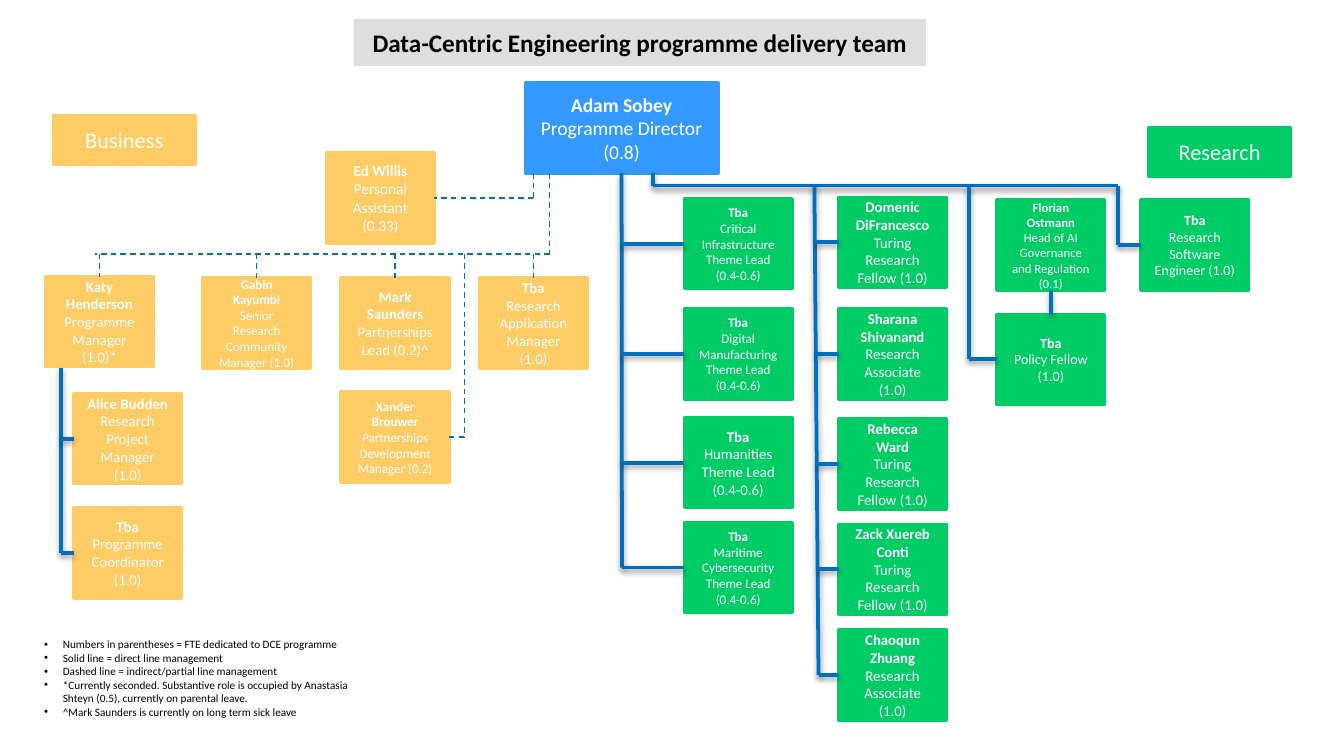
from lxml.etree import SubElement
from pptx import Presentation
from pptx.dml.color import RGBColor
from pptx.enum.dml import MSO_LINE
from pptx.enum.shapes import MSO_CONNECTOR, MSO_SHAPE
from pptx.enum.text import MSO_ANCHOR, PP_ALIGN
from pptx.oxml.ns import qn
from pptx.util import Pt

THEME = {
    "font": "Calibri",
    "blue": RGBColor(0x33, 0x99, 0xFF),
    "gold": RGBColor(0xFF, 0xCC, 0x66),
    "green": RGBColor(0x00, 0xCC, 0x66),
    "grey": RGBColor(0xDE, 0xDE, 0xDE),
    "white": RGBColor(0xFF, 0xFF, 0xFF),
    "black": RGBColor(0, 0, 0),
    "wire": RGBColor(0x00, 0x70, 0xC0),
    "title": 13.5, "label": 12, "head": 10.5, "note": 6,
}
FRAME = {"word_wrap": True, "vertical_anchor": MSO_ANCHOR.MIDDLE}
SOLID = {"width": Pt(2)}
DASH = {"width": Pt(0.75), "dash_style": MSO_LINE.DASH}
TOP, LEFT, BASE, RIGHT = range(4)
WIDE, HIGH = 57.6, 48

deck = Presentation()
deck.slide_width, deck.slide_height = Pt(720), Pt(405)
slide = deck.slides.add_slide(deck.slide_layouts[6])
cards = {}


def card(place, tone, size, lines, ink="white"):
    """Draw a filled box; lines are (text, bold) pairs."""
    shape = slide.shapes.add_shape(MSO_SHAPE.RECTANGLE, *map(Pt, place))
    shape.shadow.inherit = False
    shape.fill.solid()
    shape.fill.fore_color.rgb = THEME[tone]
    shape.line.width = Pt(2)
    shape.line.color.rgb = THEME[tone]
    frame = shape.text_frame
    for name, value in FRAME.items():
        setattr(frame, name, value)
    for i, (text, bold) in enumerate(lines):
        para = frame.add_paragraph() if i else frame.paragraphs[0]
        para.alignment = PP_ALIGN.CENTER
        run = para.add_run()
        run.text = text
        look = {"name": THEME["font"], "size": Pt(size), "bold": bold}
        for name, value in look.items():
            setattr(run.font, name, value)
        run.font.color.rgb = THEME[ink]
    return shape


def link(start, end, style=SOLID):
    """Draw a line; each end is an (x, y) point or a (card name, side) pair."""
    spots = [(0, 0) if isinstance(p[0], str) else p for p in (start, end)]
    wire = slide.shapes.add_connector(
        MSO_CONNECTOR.STRAIGHT, *(Pt(n) for spot in spots for n in spot))
    for point, join in ((start, wire.begin_connect), (end, wire.end_connect)):
        if isinstance(point[0], str):
            join(cards[point[0]], point[1])
    wire.line.color.rgb = THEME["wire"]
    for name, value in style.items():
        setattr(wire.line, name, value)
    glow = SubElement(wire._element.spPr, qn("a:effectLst"))
    if style is SOLID:
        shade = SubElement(glow, qn("a:outerShdw"), blurRad=str(Pt(3.1)),
                           dist=str(Pt(1.6)), dir="5400000", rotWithShape="0")
        black = SubElement(shade, qn("a:srgbClr"), val="000000")
        SubElement(black, qn("a:alpha"), val="38000")


# People, column by column: left edge, then name of card, top, size, person, role
columns = [
    ("gold", 175, [("aide", 82.1, 8.2, "Ed Willis", "Personal Assistant (0.33)")]),
    ("gold", 24.5, [("katy", 148.3, 7.9, "Katy Henderson", "Programme Manager (1.0)*")]),
    ("gold", 39.6, [
        ("alice", 211, 7.9, "Alice Budden", "Research Project Manager (1.0)"),
        ("clerk", 272.2, 7.9, "Tba", "Programme Coordinator (1.0)")]),
    ("gold", 108.7, [
        ("gabin", 149, 7, "Gabin Kayumbi", "Senior Research Community Manager (1.0)")]),
    ("gold", 182.9, [
        ("mark", 149, 7.9, "Mark Saunders", "Partnerships Lead (0.2)^"),
        ("xander", 210.2, 7, "Xander Brouwer", "Partnerships Development Manager (0.2)")]),
    ("gold", 257, [("apps", 149, 7.9, "Tba", "Research Application Manager (1.0)")]),
    ("green", 366.7, [
        ("infra", 106.6, 7, "Tba", "Critical Infrastructure Theme Lead (0.4-0.6)"),
        ("maker", 165.6, 7, "Tba", "Digital Manufacturing Theme Lead (0.4-0.6)"),
        ("human", 223.9, 7.9, "Tba", "Humanities Theme Lead (0.4-0.6)"),
        ("sea", 280.1, 7, "Tba", "Maritime Cybersecurity Theme Lead (0.4-0.6)")]),
    ("green", 449.4, [
        ("domenic", 105.8, 7.9, "Domenic DiFrancesco", "Turing Research Fellow (1.0)"),
        ("sharana", 165.6, 7.9, "Sharana Shivanand", "Research Associate (1.0)"),
        ("rebecca", 224.6, 7.9, "Rebecca Ward", "Turing Research Fellow (1.0)"),
        ("zack", 281, 7.9, "Zack Xuereb Conti", "Turing Research Fellow (1.0)"),
        ("chaoqun", 337.7, 7.9, "Chaoqun Zhuang", "Research Associate (1.0)")]),
    ("green", 534.2, [
        ("florian", 107.3, 6.8, "Florian Ostmann",
         "Head of AI Governance and Regulation (0.1)"),
        ("policy", 168.5, 7.5, "Tba", "Policy Fellow (1.0)")]),
    ("green", 611.3, [
        ("coder", 107.3, 7.5, "Tba", "Research Software Engineer (1.0)")]),
]
cards["boss"] = card((281.5, 44.6, 103, 48.2), "blue", THEME["head"],
                     [("Adam Sobey", True), ("Programme Director (0.8)", False)])
mids = {}
for tone, left, people in columns:
    for key, top, size, person, role in people:
        cards[key] = card((left, top, WIDE, HIGH), tone, size,
                          [(person, True), (role, False)])
        mids[key] = top + HIGH / 2

# Dashed lines: indirect management
floor, rail = 92.8, 136
link((294.5, floor), (294.5, rail), DASH)
link((294.5, rail), (51.1, rail), DASH)
for key in ("katy", "gabin", "mark", "apps"):
    mid = cards[key].left.pt + WIDE / 2
    link((mid, rail), (key, TOP), DASH)
link((285.8, floor), (285.8, mids["aide"]), DASH)
link((285.8, mids["aide"]), ("aide", RIGHT), DASH)
link((249, rail), (249, mids["xander"]), DASH)
link(("xander", RIGHT), (249, mids["xander"]), DASH)

# Solid lines: each trunk runs to its last card, with a branch to every card
beam = 99.4
link((349.9, floor), (349.9, beam))
link((349.9, beam), (599, beam))
trunks = [
    ((32.7, 197), 32.7, ("alice", "clerk")),
    (("boss", BASE), 333.2, ("infra", "maker", "human", "sea")),
    ((436.3, beam), 438.5, ("domenic", "sharana", "rebecca", "zack", "chaoqun")),
    ((519.1, beam), 519.1, ("policy",)),
    ((599, beam), 599, ("coder",)),
]
for start, foot, keys in trunks:
    last = mids[keys[-1]]
    link(start, (foot, last))
    head, top = (foot, floor) if start[0] == "boss" else start
    for key in keys:
        part = (mids[key] - top) / (last - top)
        link((head + (foot - head) * part, mids[key]), (key, LEFT))
link(("florian", BASE), ("policy", TOP))

# Headings
card((28.8, 61.9, 75.6, 25.9), "gold", THEME["label"], [("Business", False)])
card((615.6, 68.4, 75.6, 25.9), "green", THEME["label"], [("Research", False)])
title = card((189.4, 10.1, 306.7, 25.2), "grey", THEME["title"],
             [("Data-Centric Engineering programme delivery team", True)], "black")
title.line.fill.background()

# Key
notes = [
    "Numbers in parentheses = FTE dedicated to DCE programme",
    "Solid line = direct line management",
    "Dashed line = indirect/partial line management",
    "*Currently seconded. Substantive role is occupied by Anastasia Shteyn (0.5), "
    "currently on parental leave.",
    "^Mark Saunders is currently on long term sick leave",
]
frame = slide.shapes.add_textbox(*map(Pt, (16.6, 337.7, 185, 51.1))).text_frame
for name, value in FRAME.items():
    setattr(frame, name, value)
for i, note in enumerate(notes):
    para = frame.add_paragraph() if i else frame.paragraphs[0]
    props = para._p.get_or_add_pPr()
    props.set("marL", str(Pt(10)))
    props.set("indent", str(Pt(-10)))
    SubElement(props, qn("a:buFont"), typeface="Arial")
    SubElement(props, qn("a:buChar"), char="•")
    run = para.add_run()
    run.text = note
    run.font.name, run.font.size = THEME["font"], Pt(THEME["note"])
    run.font.color.rgb = THEME["black"]

deck.save("out.pptx")
